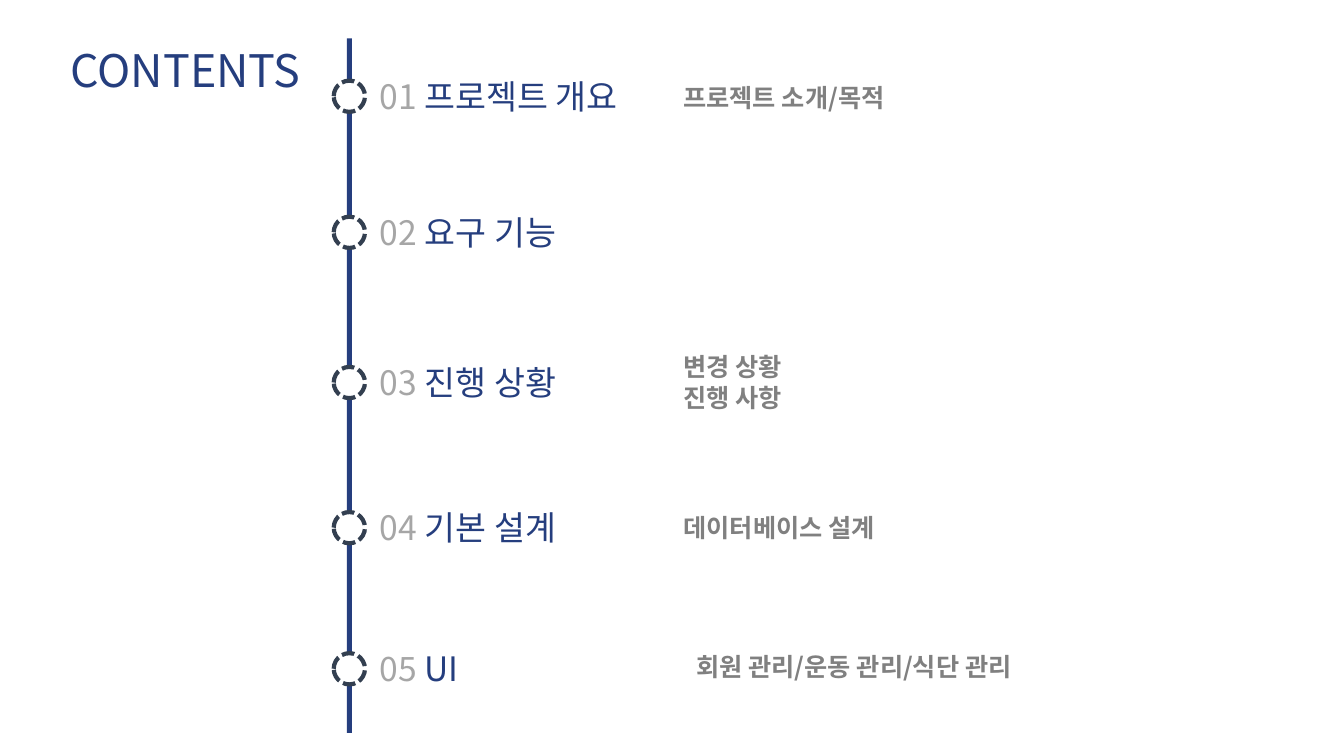
import pptx
import pptx.dml.color
import pptx.enum.dml
import pptx.enum.shapes
import pptx.enum.text
import pptx.oxml
import pptx.oxml.ns
import pptx.util

NAVY, SLATE, WHITE = "253E7E", "333F50", "FFFFFF"
NUMBER_GRAY, DETAIL_GRAY = "A6A6A6", "808080"

# Row centre, number, heading, detail lines, detail box (left, top, width, height)
ROWS = [
    (95, "01 ", "프로젝트 개요", ["프로젝트 소개/목적"], (668, 77, 284, 40)),
    (230, "02 ", "요구 기능", [], None),
    (379, "03 ", "진행 상황", ["변경 상황", "진행 사항"], (668, 344, 341, 71)),
    (523, "04 ", "기본 설계", ["데이터베이스 설계"], (668, 503, 341, 40)),
    (663, "05", " UI", ["회원 관리/운동 관리/식단 관리"], (681, 641, 390, 40)),
]


def px(length):
    """Turn px, 100 to the inch, into EMU."""
    return pptx.util.Emu(length * 9144)


def color(hex_string):
    return pptx.dml.color.RGBColor.from_string(hex_string)


class ContentsSlide:
    font_name = "Noto Sans CJK KR"

    def __init__(self, presentation):
        self.slide = presentation.slides.add_slide(presentation.slide_layouts[6])

    def shape(self, kind, box, fill, line=None):
        shape = self.slide.shapes.add_shape(kind, *map(px, box))
        shape.shadow.inherit = False
        shape.fill.solid()
        shape.fill.fore_color.rgb = color(fill)
        if line:
            shape.line.color.rgb = color(line)
            shape.line.width = pptx.util.Pt(3)
            shape.line.dash_style = pptx.enum.dml.MSO_LINE.SQUARE_DOT
        else:
            shape.line.fill.background()

    def text(self, box, paragraphs, size, bold=False):
        """Add a text box; each paragraph is a list of (text, colour) runs."""
        frame = self.slide.shapes.add_textbox(*map(px, box)).text_frame
        frame.word_wrap = True
        frame.auto_size = pptx.enum.text.MSO_AUTO_SIZE.SHAPE_TO_FIT_TEXT
        for index, runs in enumerate(paragraphs):
            paragraph = frame.add_paragraph() if index else frame.paragraphs[0]
            for text, text_color in runs:
                run = paragraph.add_run()
                run.text = text
                run.font.size = pptx.util.Pt(size)
                run.font.bold = bold
                run.font.color.rgb = color(text_color)
                run.font.name = self.font_name
                east_asian = pptx.oxml.parse_xml(
                    f'<a:ea {pptx.oxml.ns.nsdecls("a")} typeface="{self.font_name}"/>')
                run.font._element.append(east_asian)


def main():
    presentation = pptx.Presentation()
    presentation.slide_width = pptx.util.Inches(13.33)
    presentation.slide_height = pptx.util.Inches(7.5)
    contents = ContentsSlide(presentation)
    shapes = pptx.enum.shapes.MSO_SHAPE

    contents.shape(shapes.RECTANGLE, (344, 38, 5, 689), NAVY)
    contents.text((60, 37, 310, 64), [[("CONTENTS", NAVY)]], 32)
    for center, number, heading, details, detail_box in ROWS:
        contents.shape(shapes.OVAL, (331, center - 15, 31, 31), WHITE, SLATE)
        contents.text((367, center - 25, 300, 50),
                      [[(number, NUMBER_GRAY), (heading, NAVY)]], 24)
        if details:
            contents.text(detail_box, [[(line, DETAIL_GRAY)] for line in details],
                          18, bold=True)
    presentation.save("out.pptx")


if __name__ == "__main__":
    main()
